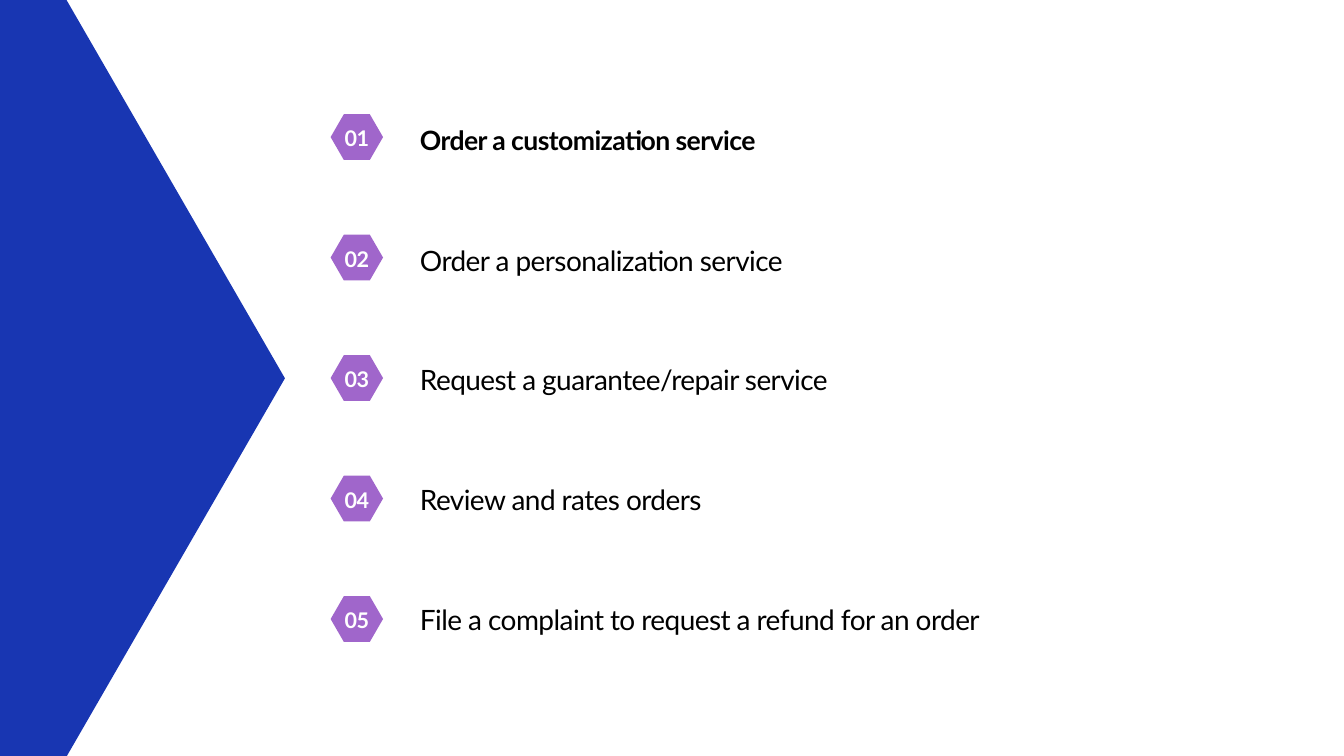
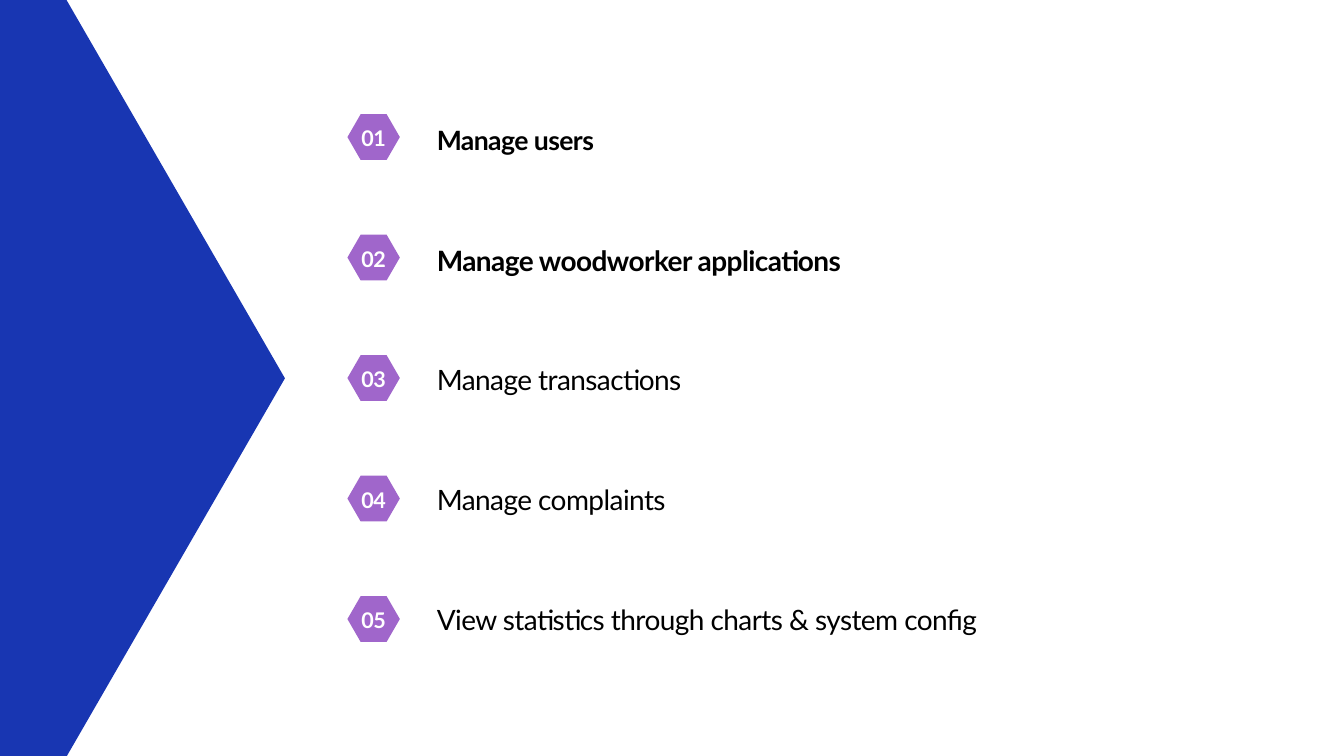
"""Build two numbered feature lists beside a large blue hexagon."""
from math import sqrt

from pptx import Presentation
from pptx.dml.color import RGBColor
from pptx.enum.shapes import MSO_SHAPE
from pptx.enum.text import MSO_AUTO_SIZE, PP_ALIGN
from pptx.util import Inches, Pt

LISTS = [
    {
        "left": 4.92,
        "bold": 1,
        "features": [
            "Order a customization service",
            "Order a personalization service",
            "Request a guarantee/repair service",
            "Review and rates orders",
            "File a complaint to request a refund for an order",
        ],
    },
    {
        "left": 5.17,
        "bold": 2,
        "features": [
            "Manage users",
            "Manage woodworker applications",
            "Manage transactions",
            "Manage complaints",
            "View statistics through charts & system config",
        ],
    },
]

WIDTH, HEIGHT = 20, 11.25
BLUE, PURPLE, WHITE, BLACK = "1836B2", "A066CB", "FFFFFF", "000000"
BAND = (-8.88, -2.19, 13.12, 15.64)
BADGE_WIDTH, BADGE_HEIGHT = 0.78, 0.68
BADGE_TOP, BADGE_PITCH = 1.7, 1.793
NUMBER_WIDTH, NUMBER_HEIGHT, NUMBER_DROP = 0.44, 0.43, 0.1
LABEL_TOP, LABEL_PITCH = 1.8, 1.78
LABEL_OFFSET, LABEL_WIDTH, LABEL_HEIGHT = 1.33, 11, 0.54
NUMBER_STYLE = {"size": Pt(23.1), "bold": True}
FIRST_SIZE, LABEL_SIZE = 28.5, 30


def color(value):
    return RGBColor.from_string(value)


def add_hexagon(page, left, top, width, height, fill):
    hexagon = page.shapes.add_shape(
        MSO_SHAPE.HEXAGON, Inches(left), Inches(top), Inches(width), Inches(height)
    )
    hexagon.adjustments[0] = height / 2 / sqrt(3) / min(width, height)
    hexagon.shadow.inherit = False
    hexagon.fill.solid()
    hexagon.fill.fore_color.rgb = color(fill)
    hexagon.line.fill.background()


def add_text(page, text, area, style, ink, spacing, tracking, align=PP_ALIGN.LEFT):
    box = page.shapes.add_textbox(*(Inches(length) for length in area))
    frame = box.text_frame
    frame.word_wrap = True
    frame.auto_size = MSO_AUTO_SIZE.SHAPE_TO_FIT_TEXT
    for side in ("left", "top", "right", "bottom"):
        setattr(frame, f"margin_{side}", 0)
    para = frame.paragraphs[0]
    para.alignment = align
    para.line_spacing = Pt(spacing)
    span = para.add_run()
    span.text = text
    for name, value in {"name": "Lato", **style}.items():
        setattr(span.font, name, value)
    span.font.color.rgb = color(ink)
    span._r.get_or_add_rPr().set("spc", str(tracking))


def add_feature(page, left, index, feature, bold):
    badge_top = BADGE_TOP + index * BADGE_PITCH
    add_hexagon(page, left, badge_top, BADGE_WIDTH, BADGE_HEIGHT, PURPLE)
    number_area = (
        left + (BADGE_WIDTH - NUMBER_WIDTH) / 2,
        badge_top + NUMBER_DROP,
        NUMBER_WIDTH,
        NUMBER_HEIGHT,
    )
    add_text(page, f"{index + 1:02}", number_area, NUMBER_STYLE, WHITE, 32.4, -50,
             PP_ALIGN.CENTER)

    size = LABEL_SIZE if index else FIRST_SIZE
    label_area = (
        left + LABEL_OFFSET,
        LABEL_TOP + index * LABEL_PITCH,
        LABEL_WIDTH,
        LABEL_HEIGHT * size / LABEL_SIZE,
    )
    label_style = {"size": Pt(size), "bold": bold}
    add_text(page, feature, label_area, label_style, BLACK, round(size * 1.3), -60)


def main():
    deck = Presentation()
    deck.slide_width, deck.slide_height = Inches(WIDTH), Inches(HEIGHT)
    blank = deck.slide_layouts[6]
    for content in LISTS:
        page = deck.slides.add_slide(blank)
        add_hexagon(page, *BAND, BLUE)
        for index, feature in enumerate(content["features"]):
            add_feature(page, content["left"], index, feature, index < content["bold"])
    deck.save("out.pptx")


if __name__ == "__main__":
    main()
